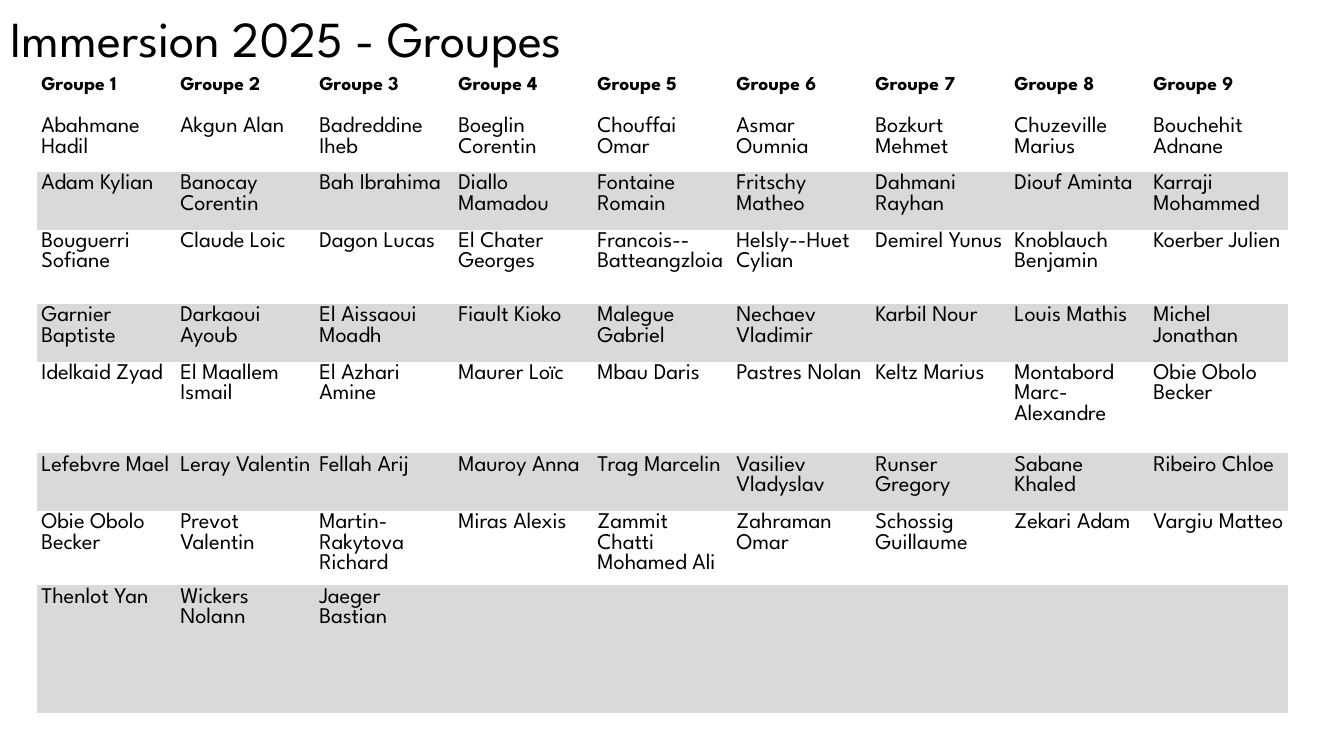
from pptx import Presentation
from pptx.dml.color import RGBColor
from pptx.enum import text
from pptx.oxml import ns
from pptx.util import Inches, Pt

FONT = "League Spartan"
PLAIN_STYLE = "{2D5ABB26-0587-4C30-8999-92F81FD0307C}"
GROUP_COUNT = 9
ROW_HEIGHTS = [0.4, 0.57, 0.57, 0.74, 0.57, 0.91, 0.57, 0.74, 1.27]
STUDENTS = [
    "Abahmane Hadil, Akgun Alan, Badreddine Iheb, Boeglin Corentin, Chouffai Omar, "
    "Asmar Oumnia, Bozkurt Mehmet, Chuzeville Marius, Bouchehit Adnane",
    "Adam Kylian, Banocay Corentin, Bah Ibrahima, Diallo Mamadou, Fontaine Romain, "
    "Fritschy Matheo, Dahmani Rayhan, Diouf Aminta, Karraji Mohammed",
    "Bouguerri Sofiane, Claude Loic, Dagon Lucas, El Chater Georges, Francois--Batteangzloia, "
    "Helsly--Huet Cylian, Demirel Yunus, Knoblauch Benjamin, Koerber Julien",
    "Garnier Baptiste, Darkaoui Ayoub, El Aissaoui Moadh, Fiault Kioko, Malegue Gabriel, "
    "Nechaev Vladimir, Karbil Nour, Louis Mathis, Michel Jonathan",
    "Idelkaid Zyad, El Maallem Ismail, El Azhari Amine, Maurer Loïc, Mbau Daris, "
    "Pastres Nolan, Keltz Marius, Montabord Marc-Alexandre, Obie Obolo Becker",
    "Lefebvre Mael, Leray Valentin, Fellah Arij, Mauroy Anna, Trag Marcelin, "
    "Vasiliev Vladyslav, Runser Gregory, Sabane Khaled, Ribeiro Chloe",
    "Obie Obolo Becker, Prevot Valentin, Martin-Rakytova Richard, Miras Alexis, "
    "Zammit Chatti Mohamed Ali, Zahraman Omar, Schossig Guillaume, Zekari Adam, Vargiu Matteo",
    "Thenlot Yan, Wickers Nolann, Jaeger Bastian",
]


def color(value):
    """Return the colour for a hex string."""
    return RGBColor.from_string(value)


def style(paragraph, size, bold=False):
    """Set the font of a whole paragraph."""
    paragraph.alignment = text.PP_ALIGN.LEFT
    font = paragraph.font
    font.name, font.size, font.bold = FONT, Pt(size), bold
    font.color.rgb = color("000000")


def add_heading(slide, left, top, width, height):
    """Place and fill the title placeholder."""
    heading = slide.shapes.title
    heading.left, heading.top = Inches(left), Inches(top)
    heading.width, heading.height = Inches(width), Inches(height)
    frame = heading.text_frame
    frame.text = "Immersion 2025 - Groupes"
    frame.vertical_anchor = text.MSO_ANCHOR.MIDDLE
    style(frame.paragraphs[0], 36)


def fill_cell(cell, name, row):
    """Write one name, with grey behind every second row of students."""
    cell.margin_left = cell.margin_right = Inches(0.04)
    cell.margin_top = cell.margin_bottom = Inches(0.02)
    if row and row % 2 == 0:
        cell.fill.solid()
        cell.fill.fore_color.rgb = color("D9D9D9")
    else:
        cell.fill.background()
    cell.text = name
    style(cell.text_frame.paragraphs[0], 16 if row else 14, bold=row == 0)


def add_groups(slide, left, top, width):
    """Build the table with one column for each group."""
    names = [[f"Groupe {number}" for number in range(1, GROUP_COUNT + 1)]]
    names += [line.split(", ") for line in STUDENTS]
    groups = slide.shapes.add_table(
        len(names), GROUP_COUNT, Inches(left), Inches(top),
        Inches(width), Inches(sum(ROW_HEIGHTS))).table
    groups.horz_banding = False
    groups._tbl.tblPr.find(ns.qn("a:tableStyleId")).text = PLAIN_STYLE
    for column in groups.columns:
        column.width = Inches(width / GROUP_COUNT)
    for row, (height, members) in enumerate(zip(ROW_HEIGHTS, names)):
        groups.rows[row].height = Inches(height)
        members += [""] * (GROUP_COUNT - len(members))
        for column, name in enumerate(members):
            fill_cell(groups.cell(row, column), name, row)


def main():
    """Build the slide and save it."""
    deck = Presentation()
    deck.slide_width, deck.slide_height = Inches(13.33), Inches(7.5)
    slide = deck.slides.add_slide(deck.slide_layouts[5])
    add_heading(slide, 0, 0, 12.56, 0.74)
    add_groups(slide, 0.37, 0.74, 12.41)
    deck.save("out.pptx")


if __name__ == "__main__":
    main()
